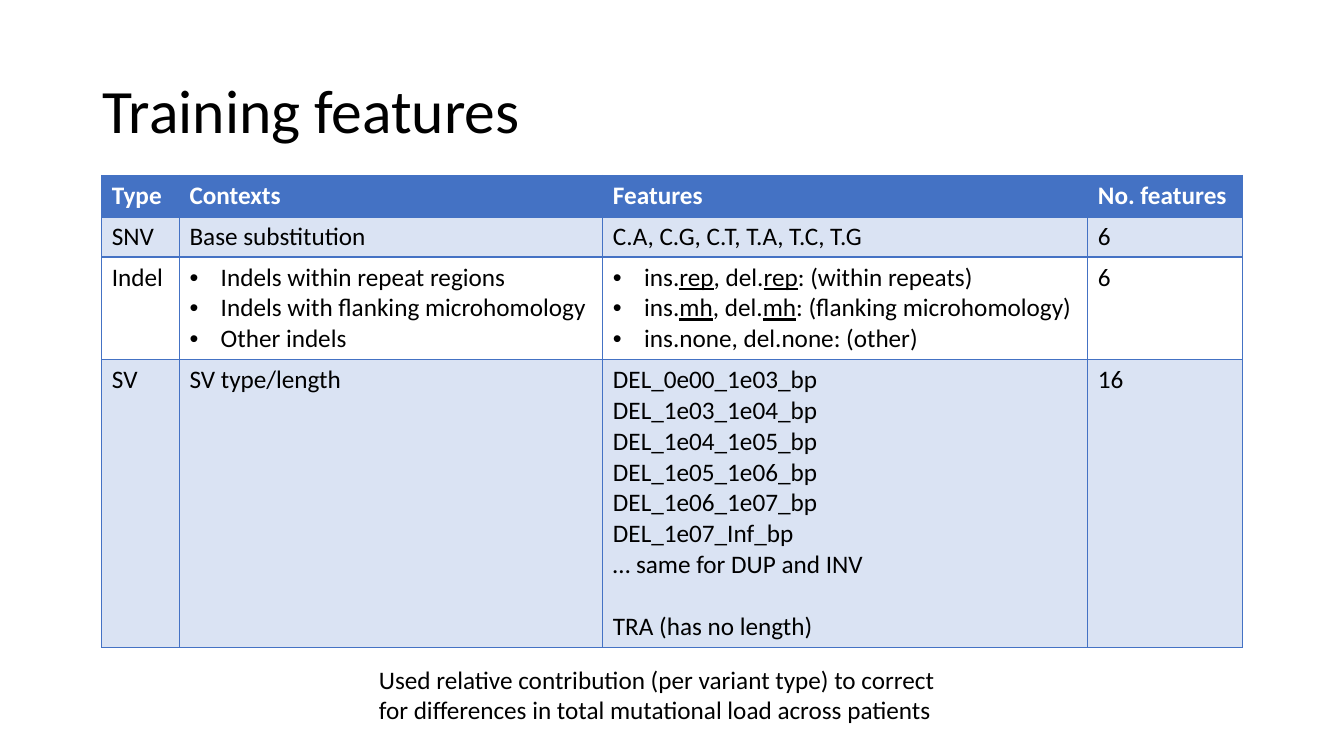
from lxml import etree
from pptx import Presentation
from pptx.dml.color import RGBColor
from pptx.enum.text import MSO_ANCHOR
from pptx.oxml.ns import qn
from pptx.util import Inches, Pt

MIDDLE = MSO_ANCHOR.MIDDLE
BLUE = RGBColor(0x44, 0x72, 0xC4)
TINT = RGBColor(0xDA, 0xE3, 0xF3)
WHITE = RGBColor(0xFF, 0xFF, 0xFF)
BLACK = RGBColor(0, 0, 0)
FONT = "Calibri"
SIZE = 18
BULLET = "•"
MARK = "*"

WIDTHS = (0.77, 4.2, 4.81, 1.53)
HEIGHTS = (0.41, 0.4, 1.02, 2.85)
FILLS = (BLUE, TINT, WHITE, TINT)
BOUNDS = ("0e00", "1e03", "1e04", "1e05", "1e06", "1e07", "Inf")
SPANS = [f"DEL_{low}_{high}_bp" for low, high in zip(BOUNDS, BOUNDS[1:])]
ROWS = (
    (["Type"], ["Contexts"], ["Features"], ["No. features"]),
    (["SNV"], ["Base substitution"], ["C.A, C.G, C.T, T.A, T.C, T.G"], ["6"]),
    (["Indel"],
     ["Indels within repeat regions", "Indels with flanking microhomology",
      "Other indels"],
     ["ins.*rep*, del.*rep*: (within repeats)",
      "ins.*mh*, del.*mh*: (flanking microhomology)",
      "ins.none, del.none: (other)"],
     ["6"]),
    (["SV"], ["SV type/length"],
     SPANS + ["… same for DUP and INV", "TRA (has no length)"], ["16"]),
)


def style(run, size=SIZE, color=BLACK, bold=False):
    """Set the font of one run."""
    font = run.font
    font.name, font.size, font.bold = FONT, Pt(size), bold
    font.color.rgb = color


def add_text(slide, box, text, size=SIZE):
    """Place a wrapped text box and return its frame."""
    frame = slide.shapes.add_textbox(*map(Inches, box)).text_frame
    frame.word_wrap = True
    frame.text = text
    style(frame.paragraphs[0].runs[0], size)
    return frame


def add_title(slide, box, text):
    """Place the slide title, centred vertically in its box."""
    frame = add_text(slide, box, text, 44)
    frame.vertical_anchor = MIDDLE
    frame.paragraphs[0].line_spacing = 0.9


def add_bullet(para):
    """Give a paragraph a hanging bullet."""
    props = para._p.get_or_add_pPr()
    indent = Inches(0.31)
    props.set("marL", str(indent))
    props.set("indent", str(-indent))
    etree.SubElement(props, qn("a:buFont")).set("typeface", "Arial")
    etree.SubElement(props, qn("a:buChar")).set("char", BULLET)


def add_border(cell, base):
    """Draw blue lines round a cell, with the given width below it."""
    props = cell._tc.get_or_add_tcPr()
    sides = (("L", 1), ("R", 1), ("T", 1), ("B", base))
    for place, (side, width) in enumerate(sides):
        line = etree.Element(qn(f"a:ln{side}"), w=str(Pt(width)))
        fill = etree.SubElement(line, qn("a:solidFill"))
        etree.SubElement(fill, qn("a:srgbClr")).set("val", str(BLUE))
        props.insert(place, line)


def fill_cell(cell, lines, head):
    """Write the lines of a cell, underlining the marked parts."""
    frame = cell.text_frame
    for index, line in enumerate(lines):
        para = frame.add_paragraph() if index else frame.paragraphs[0]
        for part, text in enumerate(line.split(MARK)):
            run = para.add_run()
            run.text = text
            style(run, color=WHITE if head else BLACK, bold=head)
            if part % 2:
                run.font.underline = True
        if len(lines) == 3:
            add_bullet(para)
        if line.startswith("TRA"):
            para.space_before = Pt(22)


def add_grid(slide, left, top):
    """Place the feature table with its top left corner at the given point."""
    frame = slide.shapes.add_table(
        len(ROWS), len(WIDTHS), Inches(left), Inches(top),
        Inches(sum(WIDTHS)), Inches(sum(HEIGHTS)))
    table = frame.table
    table.horz_banding = False
    for column, width in zip(table.columns, WIDTHS):
        column.width = Inches(width)
    for index, (row, height) in enumerate(zip(table.rows, HEIGHTS)):
        row.height = Inches(height)
        head = index == 0
        for cell, lines in zip(row.cells, ROWS[index]):
            cell.fill.solid()
            cell.fill.fore_color.rgb = FILLS[index]
            add_border(cell, 2 if head else 1)
            fill_cell(cell, lines, head)


def main():
    """Build and save the slide."""
    deck = Presentation()
    deck.slide_width, deck.slide_height = Inches(13.33), Inches(7.5)
    slide = deck.slides.add_slide(deck.slide_layouts[6])
    add_title(slide, (0.92, 0.4, 11.5, 1.45), "Training features")
    add_grid(slide, 1.01, 1.74)
    add_text(slide, (3.66, 6.54, 5.74, 0.71),
             "Used relative contribution (per variant type) to correct "
             "for differences in total mutational load across patients")
    deck.save("out.pptx")


if __name__ == "__main__":
    main()
